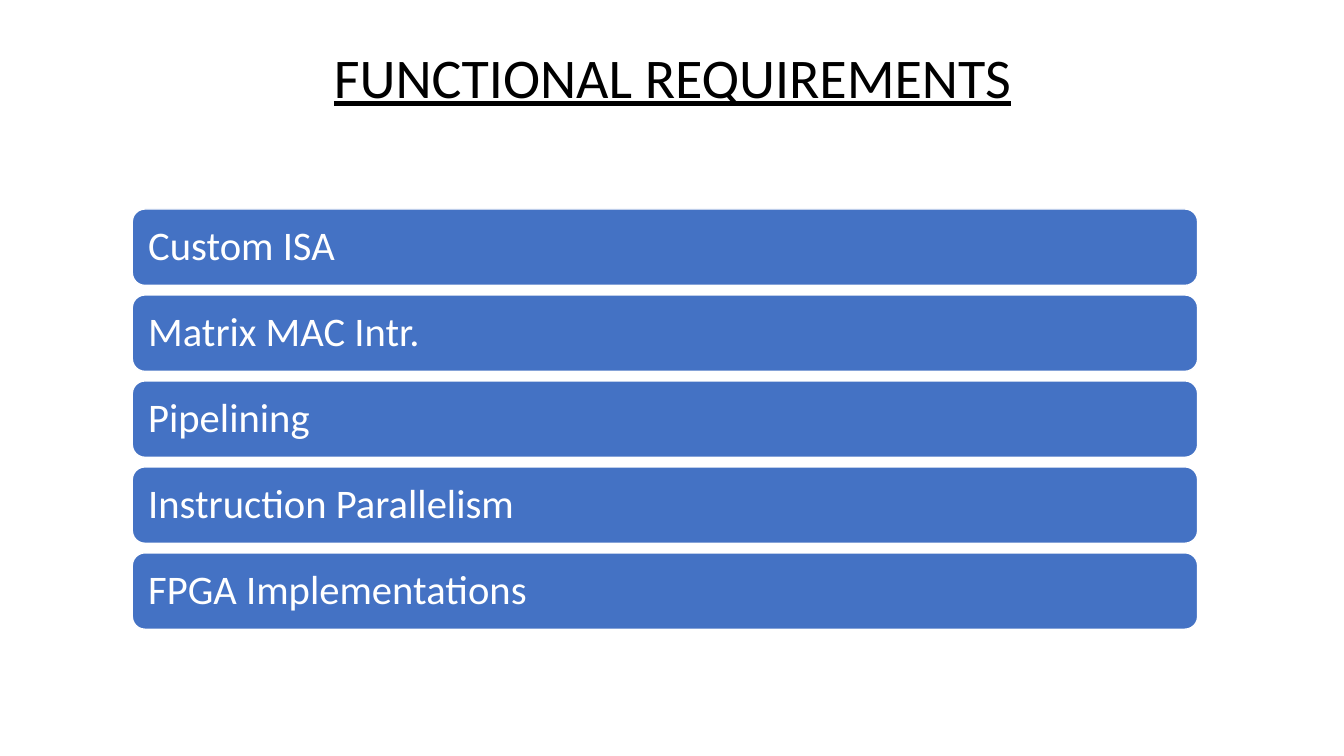
from dataclasses import dataclass

from pptx import Presentation
from pptx.dml.color import RGBColor
from pptx.enum.shapes import MSO_SHAPE
from pptx.enum.text import MSO_ANCHOR, MSO_AUTO_SIZE, PP_ALIGN
from pptx.util import Pt


@dataclass(frozen=True)
class Theme:
    font: str = "Calibri"
    title_size: float = 40
    bar_size: float = 29
    ink: RGBColor = RGBColor(0x00, 0x00, 0x00)
    paper: RGBColor = RGBColor(0xFF, 0xFF, 0xFF)
    bar: RGBColor = RGBColor(0x44, 0x72, 0xC4)


THEME = Theme()
REQUIREMENTS = [
    "Custom ISA",
    "Matrix MAC Intr.",
    "Pipelining",
    "Instruction Parallelism",
    "FPGA Implementations",
]
BAR_LEFT, BAR_TOP, BAR_WIDTH, BAR_HEIGHT = 94.5, 149.3, 761, 54.6
BAR_PITCH = 61.4
BAR_INSET = 8.7


def add_run(p, text, size, color):
    r = p.add_run()
    r.text = text
    r.font.name = THEME.font
    r.font.size = Pt(size)
    r.font.color.rgb = color
    return r


def add_title(s, text):
    sp = s.shapes.add_textbox(Pt(221.8), Pt(26.6), Pt(517), Pt(55.4))
    tf = sp.text_frame
    tf.word_wrap = True
    tf.auto_size = MSO_AUTO_SIZE.SHAPE_TO_FIT_TEXT
    p = tf.paragraphs[0]
    p.alignment = PP_ALIGN.CENTER
    add_run(p, text, THEME.title_size, THEME.ink).font.underline = True


def add_bar(s, top, text):
    sp = s.shapes.add_shape(MSO_SHAPE.ROUNDED_RECTANGLE, Pt(BAR_LEFT), Pt(top),
                            Pt(BAR_WIDTH), Pt(BAR_HEIGHT))
    sp.shadow.inherit = False
    sp.fill.solid()
    sp.fill.fore_color.rgb = THEME.bar
    sp.line.color.rgb = THEME.paper
    sp.line.width = Pt(1)

    tf = sp.text_frame
    tf.word_wrap = True
    tf.vertical_anchor = MSO_ANCHOR.MIDDLE
    tf.margin_left = tf.margin_right = Pt(BAR_INSET)
    tf.margin_top = tf.margin_bottom = Pt(0)
    p = tf.paragraphs[0]
    p.alignment = PP_ALIGN.LEFT
    p.line_spacing = 0.9
    add_run(p, text, THEME.bar_size, THEME.paper)


def main():
    prs = Presentation()
    prs.slide_width, prs.slide_height = Pt(960), Pt(540)
    s = prs.slides.add_slide(prs.slide_layouts[6])
    add_title(s, "FUNCTIONAL REQUIREMENTS")
    for i, requirement in enumerate(REQUIREMENTS):
        add_bar(s, BAR_TOP + i * BAR_PITCH, requirement)
    prs.save("out.pptx")


if __name__ == "__main__":
    main()
